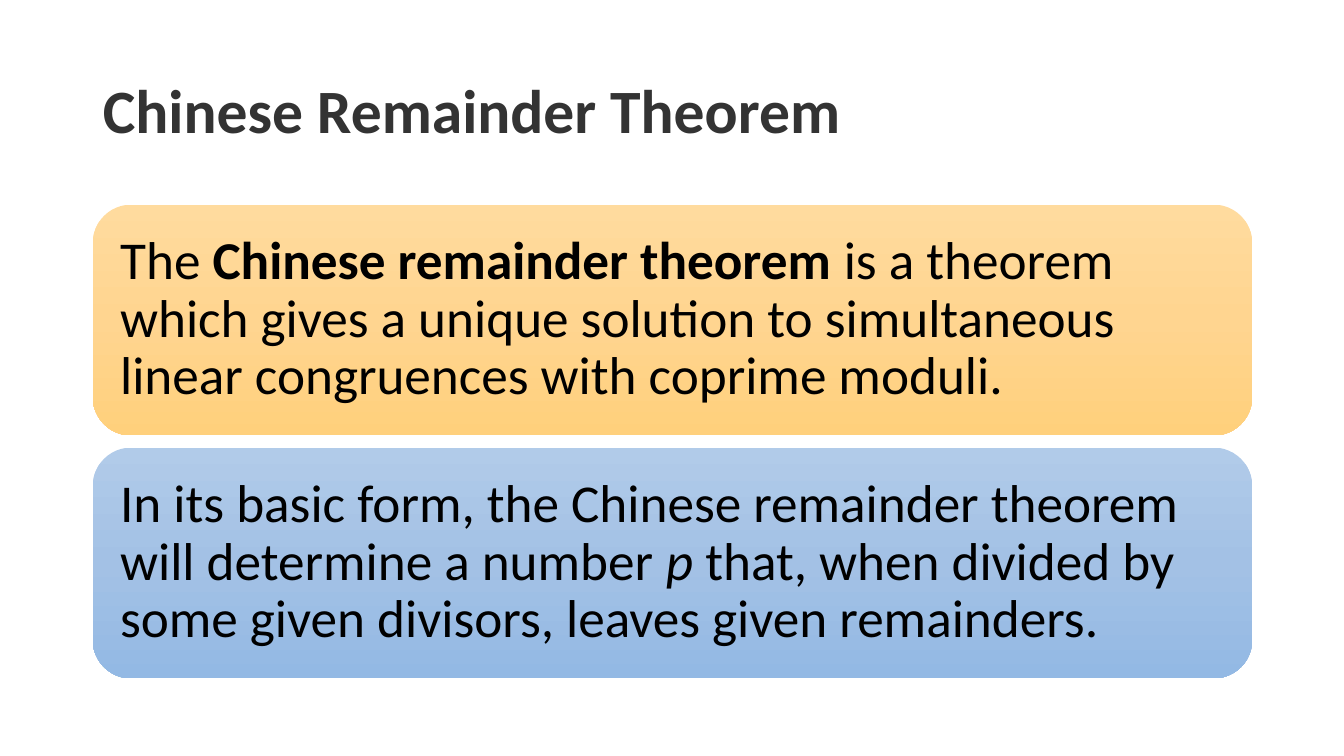
from copy import deepcopy

from pptx import Presentation
from pptx.dml.color import RGBColor
from pptx.enum.shapes import MSO_SHAPE
from pptx.enum.text import MSO_ANCHOR, PP_ALIGN
from pptx.util import Inches, Pt

COLORS = {
    "title": "333333",
    "text": "000000",
    "amber": ["FFDB9E", "FFD590", "FFD07C"],
    "blue": ["B1CBE9", "A3C1E5", "93B9E4"],
}
LEFT, WIDTH = 0.92, 11.5
CARD_TOP, CARD_HEIGHT, CARD_STEP = 2.03, 2.29, 2.41

CARDS = [
    ("amber", [
        ("The ", ""),
        ("Chinese remainder theorem", "bold"),
        (" is a theorem which gives a unique solution to simultaneous "
         "linear congruences with coprime moduli.", ""),
    ]),
    ("blue", [
        ("In its basic form, the Chinese remainder theorem will determine a number ", ""),
        ("p", "italic"),
        (" that, when divided by some given divisors, leaves given remainders.", ""),
    ]),
]


class SlideBuilder:
    font_name = "Calibri"

    def __init__(self, page):
        self.page = page

    def add_text(self, box, spans, size, color):
        frame = box.text_frame
        frame.word_wrap = True
        frame.vertical_anchor = MSO_ANCHOR.MIDDLE
        para = frame.paragraphs[0]
        para.alignment = PP_ALIGN.LEFT
        para.line_spacing = 0.9
        for text, style in spans:
            span = para.add_run()
            span.text = text
            span.font.name = self.font_name
            span.font.size = Pt(size)
            span.font.bold = style == "bold"
            span.font.italic = style == "italic"
            span.font.color.rgb = RGBColor.from_string(COLORS[color])

    def title(self, text, top, height):
        box = self.page.shapes.title
        box.left, box.top = Inches(LEFT), Inches(top)
        box.width, box.height = Inches(WIDTH), Inches(height)
        self.add_text(box, [(text, "bold")], 44, "title")

    def gradient(self, shape, colors):
        shape.fill.gradient()
        shape.fill.gradient_angle = 270
        stop_list = shape.fill._fill._gradFill.gsLst
        stop_list.append(deepcopy(stop_list[-1]))
        for index, (stop, color) in enumerate(zip(shape.fill.gradient_stops, colors)):
            stop.position = index / (len(colors) - 1)
            stop.color.rgb = RGBColor.from_string(color)

    def card(self, top, color, spans):
        box = self.page.shapes.add_shape(
            MSO_SHAPE.ROUNDED_RECTANGLE,
            Inches(LEFT), Inches(top), Inches(WIDTH), Inches(CARD_HEIGHT))
        box.shadow.inherit = False
        box.line.fill.background()
        self.gradient(box, COLORS[color])
        frame = box.text_frame
        frame.margin_left = frame.margin_right = Inches(0.16)
        frame.margin_top = frame.margin_bottom = Inches(0.16)
        self.add_text(box, spans, 38, "text")


def main():
    deck = Presentation()
    deck.slide_width, deck.slide_height = Inches(13.33), Inches(7.5)
    builder = SlideBuilder(deck.slides.add_slide(deck.slide_layouts[5]))
    builder.title("Chinese Remainder Theorem", 0.4, 1.45)
    for index, (color, spans) in enumerate(CARDS):
        builder.card(CARD_TOP + index * CARD_STEP, color, spans)
    deck.save("out.pptx")


if __name__ == "__main__":
    main()
